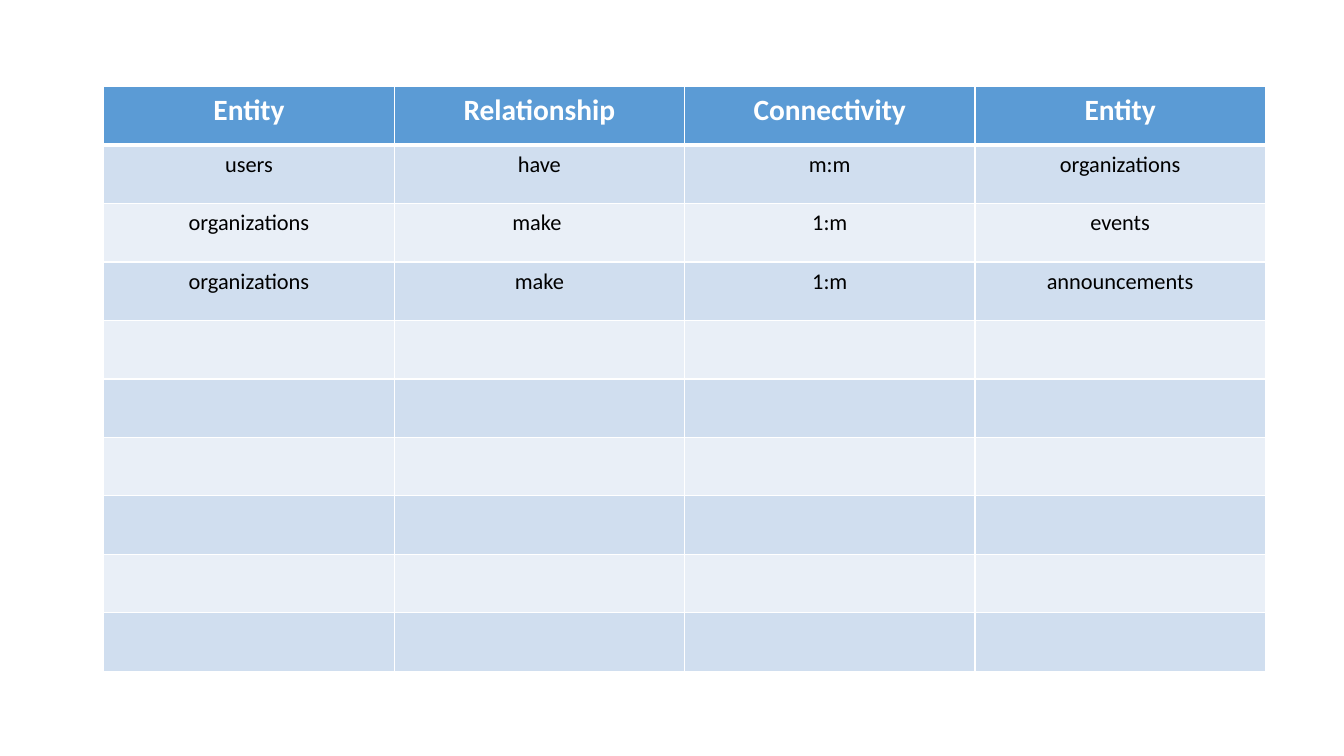
import pptx
import pptx.util
import pptx.dml.color
import pptx.enum.text
import pptx.oxml
import pptx.oxml.ns

RGBColor = pptx.dml.color.RGBColor
WHITE = RGBColor(0xFF, 0xFF, 0xFF)
BLACK = RGBColor(0, 0, 0)
BLUE = RGBColor(0x5B, 0x9B, 0xD5)
BANDS = (RGBColor(0xE9, 0xEF, 0xF7), RGBColor(0xD0, 0xDE, 0xEF))

# Table content
HEADS = ("Entity", "Relationship", "Connectivity", "Entity")
LINKS = (
    ("users", "have", "m:m", "organizations"),
    ("organizations", "make ", "1:m", "events"),
    ("organizations", "make", "1:m", "announcements"),
)
ROWS = 10

# Grid units in inches
COL, ROW = 2.88, 0.58
LEFT, TOP = 1.03, 0.86


class Page:
    font = "Calibri"
    head = {"size": pptx.util.Pt(21), "bold": True}
    body = {"size": pptx.util.Pt(16), "bold": False}
    pads = {
        "margin_left": pptx.util.Inches(0.12),
        "margin_right": pptx.util.Inches(0.12),
        "margin_top": pptx.util.Inches(0.06),
        "margin_bottom": pptx.util.Inches(0.06),
    }

    def __init__(self, deck):
        self.slide = deck.slides.add_slide(deck.slide_layouts[6])

    def table(self, left, top, cols, rows):
        """Add an unbanded table measured in grid columns and rows."""
        box = [pptx.util.Inches(n) for n in (left, top, cols * COL, rows * ROW)]
        grid = self.slide.shapes.add_table(rows, cols, *box).table
        grid.horz_banding = grid.first_row = False
        for col in grid.columns:
            col.width = pptx.util.Inches(COL)
        for row in grid.rows:
            row.height = pptx.util.Inches(ROW)
        return grid

    def cell(self, cell, text, fill, color, style):
        for name, value in self.pads.items():
            setattr(cell, name, value)
        cell.fill.solid()
        cell.fill.fore_color.rgb = fill
        if not text:
            return
        para = cell.text_frame.paragraphs[0]
        para.alignment = pptx.enum.text.PP_ALIGN.CENTER
        run = para.add_run()
        run.text = text
        run.font.color.rgb = color
        for name, value in {"name": self.font, **style}.items():
            setattr(run.font, name, value)

    def edges(self, cell, **sides):
        """Draw white borders; widths in points, ahead of the cell fill."""
        props = cell._tc.get_or_add_tcPr()
        for spot, (side, width) in enumerate(sides.items()):
            line = pptx.oxml.parse_xml(
                f'<a:ln{side} {pptx.oxml.ns.nsdecls("a")} w="{pptx.util.Pt(width)}">'
                f'<a:solidFill><a:srgbClr val="{WHITE}"/></a:solidFill></a:ln{side}>'
            )
            props.insert(spot, line)


def main():
    deck = pptx.Presentation()
    deck.slide_width = pptx.util.Inches(13.33)
    deck.slide_height = pptx.util.Inches(7.5)
    page = Page(deck)

    # Relationship table
    grid = page.table(LEFT, TOP, len(HEADS), ROWS)
    lines = (HEADS, *LINKS)
    for r in range(ROWS):
        texts = lines[r] if r < len(lines) else [""] * len(HEADS)
        for c, text in enumerate(texts):
            cell = grid.cell(r, c)
            if r == 0:
                page.cell(cell, text, BLUE, WHITE, page.head)
            else:
                page.cell(cell, text, BANDS[r % 2], BLACK, page.body)
            # Thick rule below the header row
            page.edges(cell, L=1, R=1, T=3 if r == 1 else 1, B=3 if r == 0 else 1)

    deck.save("out.pptx")


if __name__ == "__main__":
    main()
